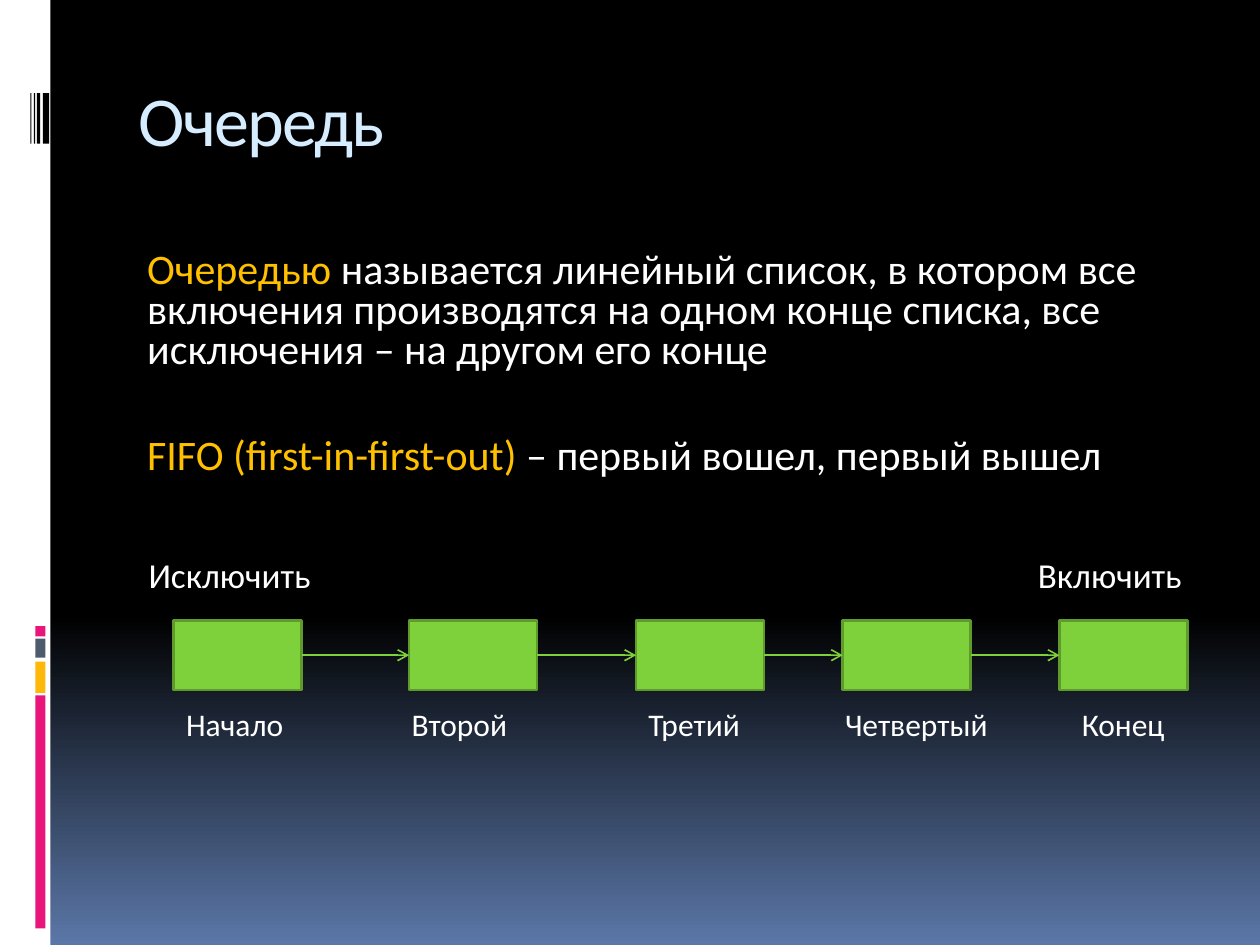
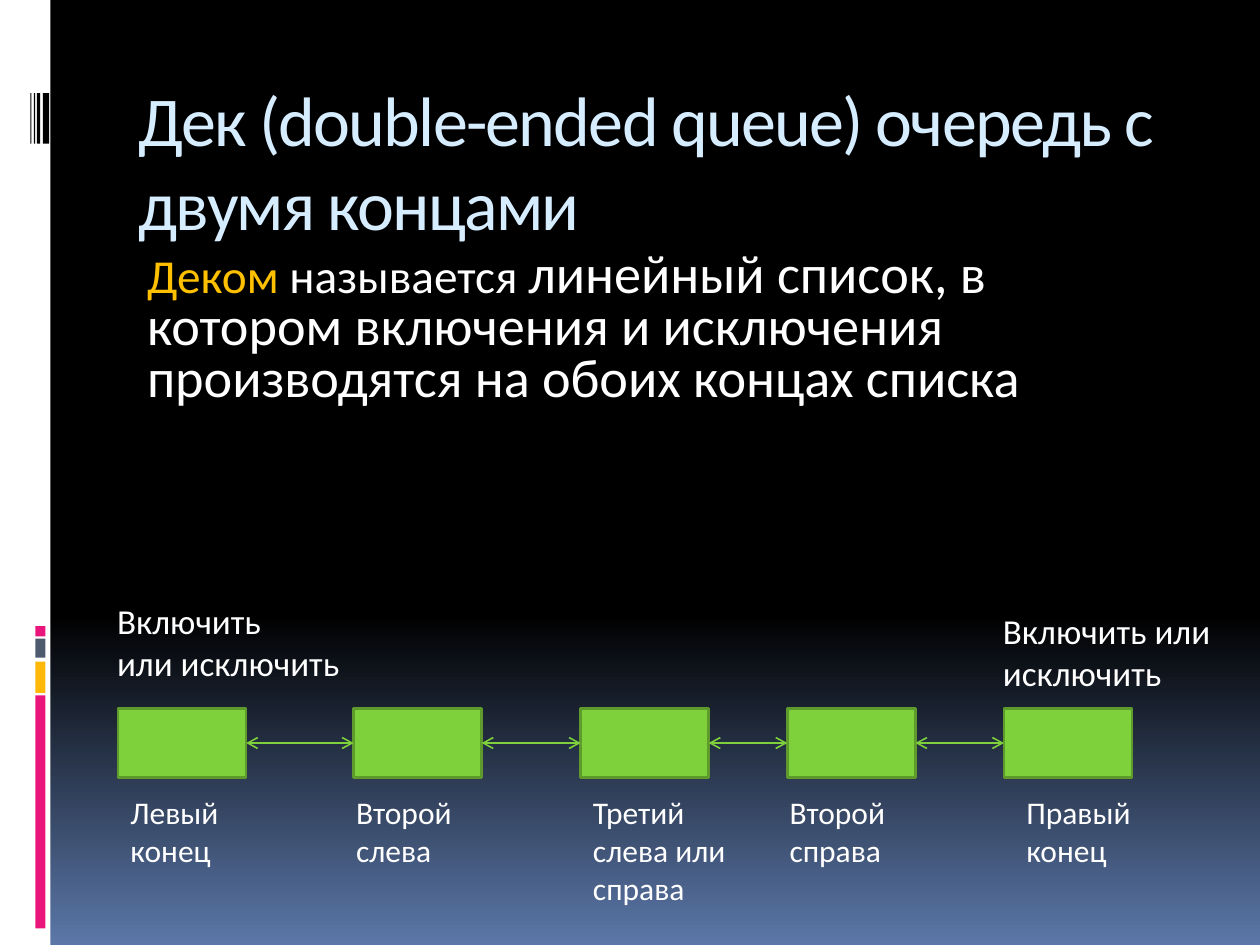
from copy import deepcopy

from lxml import etree
from pptx import Presentation
from pptx.dml.color import RGBColor
from pptx.enum.shapes import MSO_CONNECTOR, MSO_SHAPE
from pptx.enum.text import MSO_ANCHOR, MSO_AUTO_SIZE, PP_ALIGN
from pptx.oxml.ns import qn
from pptx.util import Pt

BLACK = RGBColor(0x00, 0x00, 0x00)
WHITE = RGBColor(0xFF, 0xFF, 0xFF)
SKY = RGBColor(0xD6, 0xEC, 0xFF)
TERM = RGBColor(0xFF, 0xC0, 0x00)
HORIZON = RGBColor(0x5B, 0x77, 0xA8)
PINK = RGBColor(0xEA, 0x15, 0x7A)
AMBER = RGBColor(0xFE, 0xB8, 0x0A)
SLATE = RGBColor(0x4E, 0x5B, 0x6F)
GREEN = RGBColor(0x7F, 0xD1, 0x3B)
DARK_GREEN = RGBColor(0x5E, 0x9B, 0x2C)

FONT = "Calibri"
SLIDE_W, SLIDE_H = 720, 540
TITLE_BOX = (72, 40.3, 612, 72)
BODY_BOX = (72, 140.4, 612, 360)

NODE_W, NODE_H = 73.2, 39.6
NODE_OFFSETS = (0, 134.6, 264.3, 382.4, 506.2)
LABEL_OFFSETS = (0, 128.9, 264.3, 376.6, 511.9)
LABEL_DROP = 45
RIGHT_SITE, LEFT_SITE = 3, 1


def style_run(run, size, color):
    """Apply the shared font with a size and a colour."""
    run.font.name = FONT
    run.font.size = Pt(size)
    run.font.color.rgb = color


def add_block(slide, box, fill, outline=None):
    """Draw a flat rectangle in box, outlined if a colour is given."""
    block = slide.shapes.add_shape(MSO_SHAPE.RECTANGLE, *map(Pt, box))
    block.shadow.inherit = False
    block.fill.solid()
    block.fill.fore_color.rgb = fill
    if outline is None:
        block.line.fill.background()
    else:
        block.line.color.rgb = outline
        block.line.width = Pt(1.5)
    return block


def set_background(master):
    """Give every slide black that fades to blue at the foot."""
    fill = master.background.fill
    fill.gradient()
    fill.gradient_angle = 270
    stop_list = master.element.find(".//" + qn("p:bg")).find(".//" + qn("a:gsLst"))
    stop_list.insert(0, deepcopy(stop_list[0]))
    stops = ((0, BLACK), (0.65, BLACK), (1, HORIZON))
    for stop, (position, color) in zip(fill.gradient_stops, stops):
        stop.position = position
        stop.color.rgb = color


def add_side_band(slide):
    """Draw the white left band with its colour bars and black stripes."""
    add_block(slide, (0, 0, 28.8, SLIDE_H), WHITE)
    bars = ((397.4, 133.2, PINK), (378, 18, AMBER),
            (365, 10.8, SLATE), (357.8, 5.8, PINK))
    for top, height, color in bars:
        add_block(slide, (20.2, top, 5.8, height), color)
    for left, width in ((24.5, 3.6), (21, 2), (19.4, 0.7), (17.3, 0.7)):
        add_block(slide, (left, 53.3, width, 28.8), BLACK)


def set_title(slide, text, box):
    """Place and format the title placeholder."""
    title = slide.shapes.title
    title.left, title.top, title.width, title.height = map(Pt, box)
    frame = title.text_frame
    frame.text = text
    frame.word_wrap = True
    frame.auto_size = MSO_AUTO_SIZE.NONE
    frame.vertical_anchor = MSO_ANCHOR.TOP
    paragraph = frame.paragraphs[0]
    paragraph.alignment = PP_ALIGN.LEFT
    run = paragraph.runs[0]
    style_run(run, 40, SKY)
    run.font._element.set("spc", "-100")


def add_body(slide, paragraphs, box):
    """Write paragraphs, each a space before and (text, size, colour) runs."""
    frame = slide.shapes.add_textbox(*map(Pt, box)).text_frame
    frame.word_wrap = True
    for index, (space_before, runs) in enumerate(paragraphs):
        paragraph = frame.add_paragraph() if index else frame.paragraphs[0]
        paragraph.line_spacing = 0.8
        paragraph.space_before = Pt(space_before)
        paragraph._p.get_or_add_pPr().set("marL", str(Pt(5)))
        for text, size, color in runs:
            run = paragraph.add_run()
            run.text = text
            style_run(run, size, color)


def add_label(slide, text, left, top, width, size=18):
    """Write unwrapped white text, one paragraph for each line."""
    line_count = text.count("\n") + 1
    height = 7.2 + 1.21 * size * line_count
    label = slide.shapes.add_textbox(Pt(left), Pt(top), Pt(width), Pt(height))
    frame = label.text_frame
    frame.text = text
    frame.word_wrap = False
    frame.auto_size = MSO_AUTO_SIZE.SHAPE_TO_FIT_TEXT
    for paragraph in frame.paragraphs:
        style_run(paragraph.runs[0], size, WHITE)


def add_link(slide, start, end, both_ways):
    """Join two neighbouring nodes with an arrow."""
    link = slide.shapes.add_connector(MSO_CONNECTOR.STRAIGHT, 0, 0, 0, 0)
    link.begin_connect(start, RIGHT_SITE)
    link.end_connect(end, LEFT_SITE)
    link.line.color.rgb = GREEN
    link.line.width = Pt(0.94)
    line = link.line._get_or_add_ln()
    for tag in ("a:headEnd", "a:tailEnd") if both_ways else ("a:tailEnd",):
        etree.SubElement(line, qn(tag), type="arrow")
    etree.SubElement(link._element.spPr, qn("a:effectLst"))


def add_chain(slide, left, top, labels, both_ways=False):
    """Draw the linked nodes from (left, top) with (text, width) labels below."""
    nodes = [add_block(slide, (left + dx, top, NODE_W, NODE_H), GREEN, DARK_GREEN)
             for dx in NODE_OFFSETS]
    for start, end in zip(nodes, nodes[1:]):
        add_link(slide, start, end, both_ways)
    for dx, (text, width) in zip(LABEL_OFFSETS, labels):
        add_label(slide, text, left + dx, top + LABEL_DROP, width)


def add_topic_slide(prs, title, paragraphs):
    """Add a slide with the side band, the title and the definition."""
    slide = prs.slides.add_slide(prs.slide_layouts.get_by_name("Title Only"))
    add_side_band(slide)
    set_title(slide, title, TITLE_BOX)
    add_body(slide, paragraphs, BODY_BOX)
    return slide


def build_queue_slide(prs):
    """Explain the queue."""
    slide = add_topic_slide(prs, "Очередь", [
        (7, [("Очередью", 24, TERM),
             (" называется линейный список, в котором все включения производятся"
              " на одном конце списка, все исключения – на другом его конце",
              24, WHITE)]),
        (37.4, [("FIFO (first-in-first-out) ", 24, TERM),
                ("– первый вошел, первый вышел", 24, WHITE)]),
    ])
    add_chain(slide, 99.2, 354.6, [
        ("Начало", 70.6), ("Второй", 69.8), ("Третий", 67.7),
        ("Четвертый", 97.2), ("Конец", 62.6)])
    add_label(slide, "Исключить", 77.8, 312.5, 108, 20)
    add_label(slide, "Включить", 586, 312.5, 97.2, 20)


def build_deque_slide(prs):
    """Explain the double-ended queue."""
    slide = add_topic_slide(prs, "Дек (double-ended queue) очередь с двумя концами", [
        (7, [("Деком ", 27, TERM), ("называется ", 27, WHITE),
             ("линейный список, в котором включения и исключения"
              " производятся на обоих концах списка", 31, WHITE)]),
    ])
    add_chain(slide, 67.5, 404.8, [
        ("Левый\nконец", 69.8), ("Второй\nслева", 69.8),
        ("Третий\nслева или\nсправа", 90.7), ("Второй\nсправа", 74.2),
        ("Правый\nконец", 74.9)], both_ways=True)
    add_label(slide, "Включить\nили исключить", 59.8, 339.1, 142.6, 20)
    add_label(slide, "Включить или\nисключить", 566, 344.9, 133.9, 20)


def main():
    """Build and save the presentation."""
    prs = Presentation()
    prs.slide_width, prs.slide_height = Pt(SLIDE_W), Pt(SLIDE_H)
    set_background(prs.slide_master)
    build_queue_slide(prs)
    build_deque_slide(prs)
    prs.save("out.pptx")


main()
